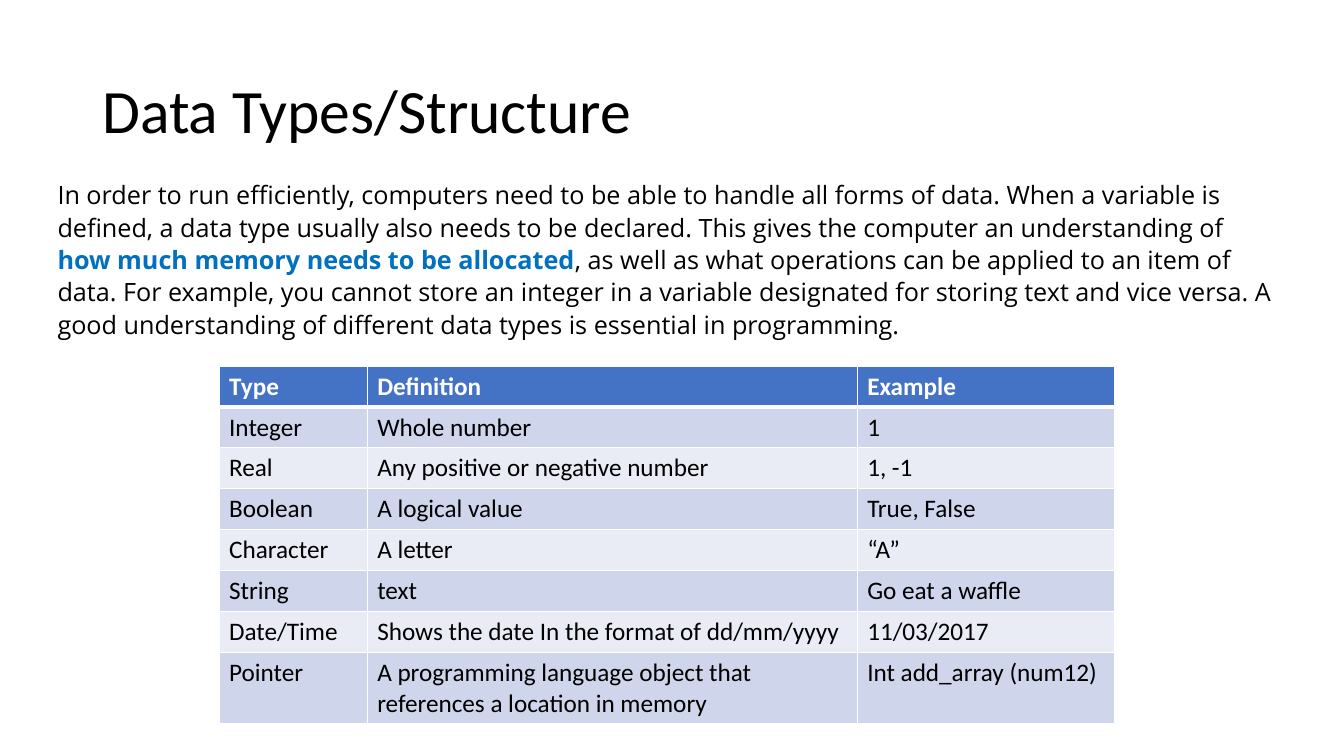
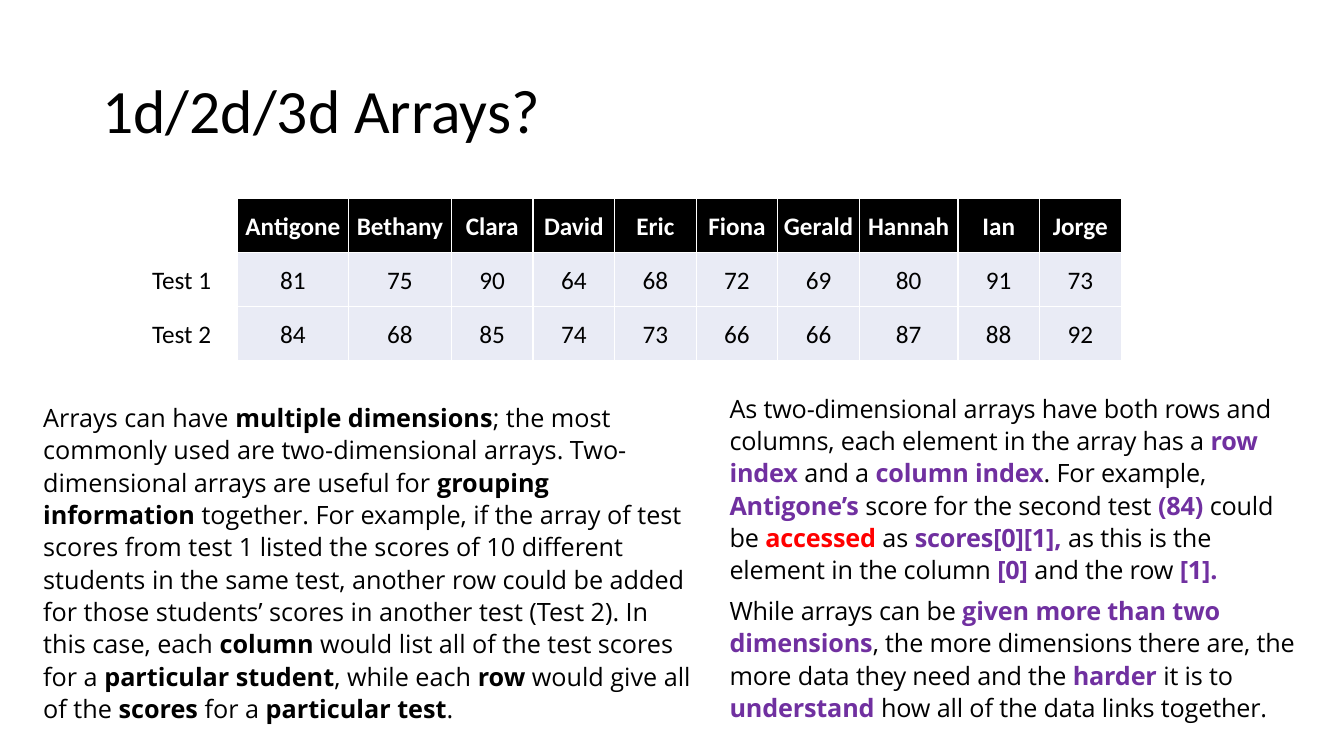
from dataclasses import dataclass

from lxml import etree
from pptx import Presentation
from pptx.dml.color import RGBColor
from pptx.enum.text import MSO_ANCHOR, PP_ALIGN
from pptx.oxml.ns import qn
from pptx.util import Pt

LEFT, CENTER = PP_ALIGN.LEFT, PP_ALIGN.CENTER
TOP, MIDDLE = MSO_ANCHOR.TOP, MSO_ANCHOR.MIDDLE


@dataclass(frozen=True)
class Theme:
    """Colours, fonts and sizes shared by the slides."""
    black: str = "000000"
    white: str = "FFFFFF"
    header_blue: str = "4472C4"
    band_dark: str = "CFD5EA"
    band_light: str = "E9EBF5"
    blue: str = "0070C0"
    purple: str = "7030A0"
    red: str = "FF0000"
    label_font: str = "Calibri"
    body_font: str = "Open Sans"
    title_size: float = 44
    text_size: float = 18
    body_spacing: float = 1.07
    border: float = 1
    header_border: float = 3


THEME = Theme()
TITLE_BOX = (66, 28.8, 828, 104.4)

TYPES = [
    ("Type", "Definition", "Example"),
    ("Integer", "Whole number", "1"),
    ("Real", "Any positive or negative number", "1, -1"),
    ("Boolean", "A logical value", "True, False"),
    ("Character", "A letter", "“A”"),
    ("String", "text", "Go eat a waffle"),
    ("Date/Time", "Shows the date In the format of dd/mm/yyyy", "11/03/2017"),
    ("Pointer", "A programming language object that references a location in memory",
     "Int add_array (num12)"),
]
SCORES = [
    ("Antigone", "Bethany", "Clara", "David", "Eric",
     "Fiona", "Gerald", "Hannah", "Ian", "Jorge"),
    (81, 75, 90, 64, 68, 72, 69, 80, 91, 73),
    (84, 68, 85, 74, 73, 66, 66, 87, 88, 92),
]

# Text between bars is emphasised.
TYPES_INTRO = (
    "In order to run efficiently, computers need to be able to handle all forms of data. "
    "When a variable is defined, a data type usually also needs to be declared. This gives "
    "the computer an understanding of |how much memory needs to be allocated|, as well as "
    "what operations can be applied to an item of data. For example, you cannot store an "
    "integer in a variable designated for storing text and vice versa. A good understanding "
    "of different data types is essential in programming."
)
DIMENSIONS = (
    "Arrays can have |multiple dimensions|; the most commonly used are two-dimensional "
    "arrays. Two-dimensional arrays are useful for |grouping information |together. For "
    "example, if the array of test scores from test 1 listed the scores of 10 different "
    "students in the same test, another row could be added for those students’ scores in "
    "another test (Test 2). In this case, each |column| would list all of the test scores "
    "for a |particular student|, while each |row| would give all of the |scores| for a "
    "|particular test|."
)
INDEXES = (
    "As two-dimensional arrays have both rows and columns, each element in the array has a "
    "|row index |and a |column index|. For example, |Antigone’s| score for the second test "
    "|(84) |could be |accessed| as |scores[0][1], |as this is the element in the column "
    "|[0] |and the row |[1].|"
)
MORE_DIMENSIONS = (
    "While arrays can be |given more than two dimensions|, the more dimensions there are, "
    "the more data they need and the |harder| it is to |understand| how all of the data "
    "links together."
)


def write_text(frame, *texts, font=THEME.label_font, size=THEME.text_size,
               color=THEME.black, bold=False, emphasis=THEME.black, special=None,
               align=LEFT, spacing=1.0, after=0, tracking=0):
    """Write one paragraph per text; parts between bars are bold in the emphasis colour."""
    special = special or {}
    for number, text in enumerate(texts):
        paragraph = frame.add_paragraph() if number else frame.paragraphs[0]
        paragraph.alignment = align
        paragraph.line_spacing = spacing
        paragraph.space_after = Pt(after)
        for index, part in enumerate(text.split("|")):
            if not part:
                continue
            strong = index % 2 == 1
            run = paragraph.add_run()
            run.text = part
            run.font.name = font
            run.font.size = Pt(size)
            run.font.bold = bold or strong
            run_color = special.get(part, emphasis) if strong else color
            run.font.color.rgb = RGBColor.from_string(run_color)
            if tracking:
                run.font._element.set("spc", str(round(tracking * 100)))


def add_text(slide, box, *texts, anchor=TOP, wrap=True, **text_format):
    """Place a text box in the given box."""
    frame = slide.shapes.add_textbox(*map(Pt, box)).text_frame
    frame.word_wrap = wrap
    frame.vertical_anchor = anchor
    write_text(frame, *texts, **text_format)


def add_title(slide, text):
    """Place the slide title."""
    add_text(slide, TITLE_BOX, text, anchor=MIDDLE, size=THEME.title_size, spacing=0.9)


def add_body(slide, box, *texts, **text_format):
    """Place body paragraphs in the given box."""
    add_text(slide, box, *texts, font=THEME.body_font, spacing=THEME.body_spacing,
             after=6, **text_format)


def set_borders(cell, widths):
    """Give a cell white borders; widths maps each side to points."""
    properties = cell._tc.get_or_add_tcPr()
    for side, width in widths.items():
        line = etree.SubElement(properties, qn(f"a:ln{side}"), w=str(int(Pt(width))))
        fill = etree.SubElement(line, qn("a:solidFill"))
        etree.SubElement(fill, qn("a:srgbClr"), val=THEME.white)


def add_grid(slide, origin, rows, widths, heights, header_fill, bands,
             header_border=THEME.border, anchor=TOP, margins=None, **text_format):
    """Place a table with a header row and cycling body fills at the origin."""
    size = (sum(widths), sum(heights))
    table = slide.shapes.add_table(
        len(rows), len(widths), *map(Pt, (*origin, *size))).table
    table.horz_banding = False
    for column, width in zip(table.columns, widths):
        column.width = Pt(width)
    for index, (row, values, height) in enumerate(zip(table.rows, rows, heights)):
        row.height = Pt(height)
        header = index == 0
        borders = dict.fromkeys("LRTB", THEME.border)
        if header:
            borders["B"] = header_border
        elif index == 1:
            borders["T"] = header_border
        fill = header_fill if header else bands[(index - 1) % len(bands)]
        for cell, value in zip(row.cells, values):
            set_borders(cell, borders)
            cell.fill.solid()
            cell.fill.fore_color.rgb = RGBColor.from_string(fill)
            cell.vertical_anchor = anchor
            if margins:
                cell.margin_left = cell.margin_right = Pt(margins[0])
                cell.margin_top = cell.margin_bottom = Pt(margins[1])
            write_text(cell.text_frame, str(value), bold=header,
                       color=THEME.white if header else THEME.black, **text_format)


def add_scores(slide, left, top):
    """Place the score table with its row labels to the left."""
    row_height, label_height, label_offset = 38.6, 29, 67.9
    widths = [79.6, 73.5] + [58.3] * 5 + [70.4] + [58.3] * 2
    add_grid(slide, (left, top), SCORES, widths, [row_height] * len(SCORES),
             THEME.black, [THEME.band_light], anchor=MIDDLE, margins=(3.6, 3),
             align=CENTER, spacing=THEME.body_spacing)
    for test in range(1, len(SCORES)):
        label_top = top + test * row_height + (row_height - label_height) / 2
        add_text(slide, (left - label_offset, label_top, 57, label_height),
                 f"Test {test}", wrap=False)


def build_types_slide(slide):
    """Fill the slide on data types."""
    add_title(slide, "Data Types/Structure")
    add_grid(slide, (156.5, 261.5), TYPES, [105.8, 350, 184], [29.2] * 7 + [50.8],
             THEME.header_blue, [THEME.band_dark, THEME.band_light],
             header_border=THEME.header_border)
    add_body(slide, (34, 123.2, 885, 122.4), TYPES_INTRO, emphasis=THEME.blue)


def build_arrays_slide(slide):
    """Fill the slide on arrays."""
    add_title(slide, "1d/2d/3d Arrays?")
    add_scores(slide, 169.4, 141.8)
    add_body(slide, (23.8, 282.2, 480.2, 239), DIMENSIONS)
    add_body(slide, (514, 275.6, 422, 245), INDEXES, MORE_DIMENSIONS,
             emphasis=THEME.purple, special={"accessed": THEME.red}, tracking=-0.1)


def main():
    """Build and save the presentation."""
    presentation = Presentation()
    presentation.slide_width, presentation.slide_height = Pt(960), Pt(540)
    blank = presentation.slide_layouts[6]
    for build in (build_types_slide, build_arrays_slide):
        build(presentation.slides.add_slide(blank))
    presentation.save("out.pptx")


main()
